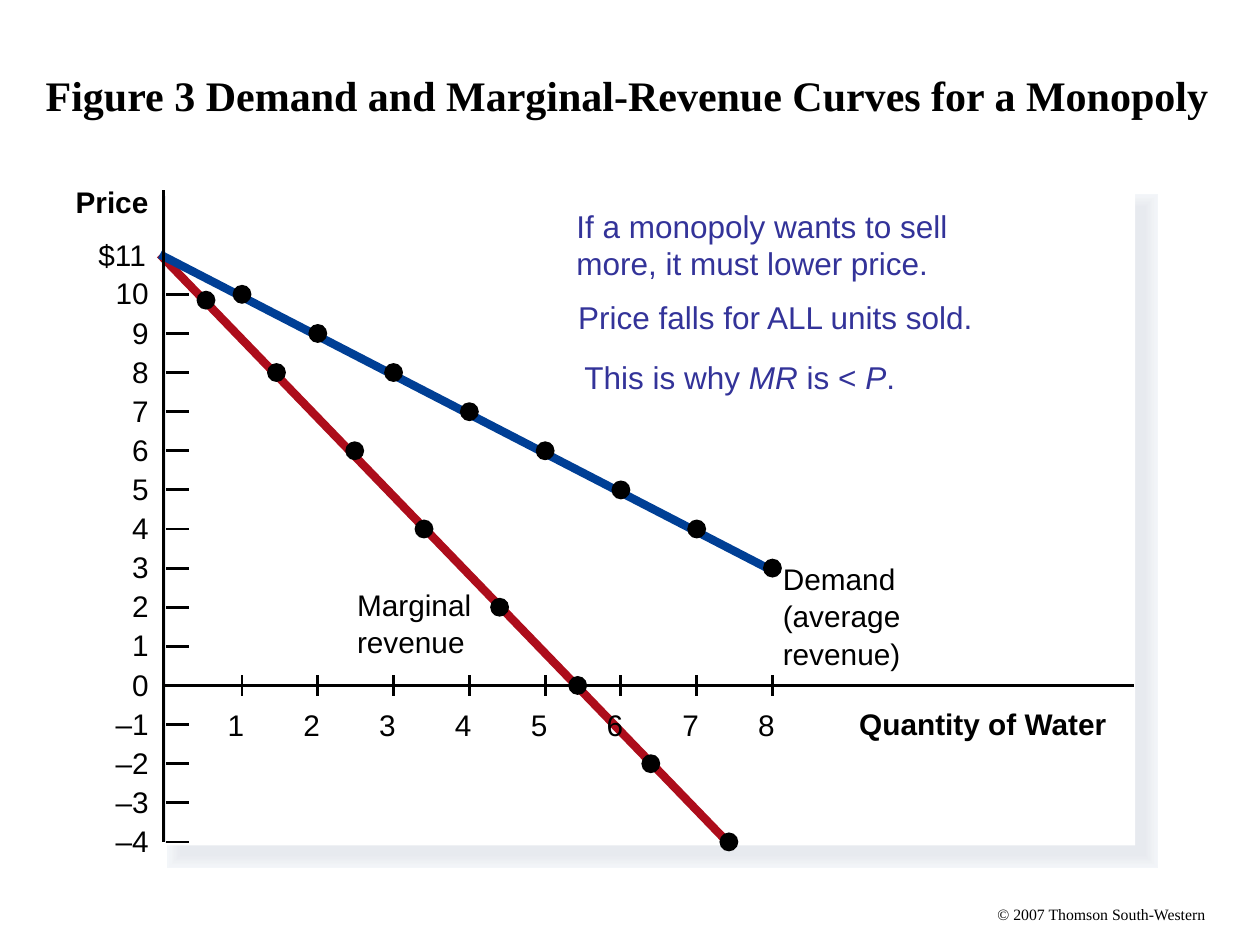
from dataclasses import dataclass

from lxml import etree
from pptx import Presentation
from pptx.dml.color import RGBColor
from pptx.enum import shapes, text
from pptx.oxml import ns
from pptx.util import Pt


@dataclass(frozen=True)
class Theme:
    ink: str = "000000"
    paper: str = "FFFFFF"
    note: str = "333399"
    demand: str = "003F95"
    margin: str = "AD0D1B"
    shade: tuple = ("F3F6F9", "F2F4F8", "F1F4F7", "F0F2F5", "EEF1F4",
                    "EDEFF3", "EBEEF2", "EAECF1", "E9EBF0", "E7EAEF")
    core: str = "E6E9EF"
    sans: str = "Arial"
    serif: str = "Times New Roman"
    head: float = 24
    body: float = 18
    label: float = 17
    small: float = 9
    curve: float = 4.75
    rule: float = 1.62


THEME = Theme()
LEFT = text.PP_ALIGN.LEFT
RIGHT = text.PP_ALIGN.RIGHT
AXIS = 93.6
BASE = 391.7
DOT = 10.8


def get_x(amount):
    return 95 + 43.3 * amount


def get_y(price):
    return BASE - 22.35 * price


def style(font, size, color=THEME.ink, name=THEME.sans, bold=False):
    font.size = Pt(size)
    font.name = name
    font.bold = bold
    font.color.rgb = RGBColor.from_string(color)


def add_line(home, start, end, color=THEME.ink, width=THEME.rule):
    ends = [Pt(v) for v in (*start, *end)]
    line = home.add_connector(shapes.MSO_CONNECTOR.STRAIGHT, *ends)
    line.line.color.rgb = RGBColor.from_string(color)
    line.line.width = Pt(width)
    etree.SubElement(line._element.spPr, ns.qn("a:effectLst"))


def add_form(home, kind, box, fill, width=0):
    """Add a filled shape; a width above zero gives it a square-cornered edge."""
    form = home.add_shape(kind, *[Pt(v) for v in box])
    form.shadow.inherit = False
    form.fill.solid()
    form.fill.fore_color.rgb = RGBColor.from_string(fill)
    if width:
        form.line.color.rgb = RGBColor.from_string(fill)
        form.line.width = Pt(width)
        edge = form._element.spPr.find(ns.qn("a:ln"))
        etree.SubElement(edge, ns.qn("a:miter"), lim="800000")
    else:
        form.line.fill.background()


def add_label(home, words, box, align=LEFT, size=THEME.label,
              name=THEME.sans, bold=False):
    """Add one unwrapped line of text without margins."""
    frame = home.add_textbox(*[Pt(v) for v in box]).text_frame
    frame.margin_left = frame.margin_right = 0
    frame.margin_top = frame.margin_bottom = 0
    frame.word_wrap = False
    frame.auto_size = text.MSO_AUTO_SIZE.SHAPE_TO_FIT_TEXT
    para = frame.paragraphs[0]
    para.text = words
    para.alignment = align
    style(para.runs[0].font, size, name=name, bold=bold)


def add_stack(home, lines, left, top, width):
    group = home.add_group_shape().shapes
    for i, words in enumerate(lines):
        add_label(group, words, (left, top + 21.4 * i, width, 20))


def add_note(home, words, box):
    """Add a wrapped note; parts between bars are set in italics."""
    frame = home.add_textbox(*[Pt(v) for v in box]).text_frame
    frame.word_wrap = True
    frame.auto_size = text.MSO_AUTO_SIZE.SHAPE_TO_FIT_TEXT
    for i, part in enumerate(words.split("|")):
        run = frame.paragraphs[0].add_run()
        run.text = part
        style(run.font, THEME.body, THEME.note)
        run.font.italic = i % 2 == 1


def add_dots(home, points):
    group = home.add_group_shape().shapes
    for x, y in points:
        add_form(group, shapes.MSO_SHAPE.OVAL,
                 (x - DOT / 2, y - DOT / 2, DOT, DOT), THEME.ink)


def add_title(slide, words):
    title = slide.shapes.title
    title.left, title.top, title.width, title.height = (
        Pt(18.9), Pt(9), Pt(688.3), Pt(90))
    frame = title.text_frame
    frame.text = words
    frame.vertical_anchor = text.MSO_ANCHOR.MIDDLE
    frame.paragraphs[0].alignment = LEFT
    style(frame.paragraphs[0].runs[0].font, THEME.head, name=THEME.serif, bold=True)


def add_panel(home):
    """Add the white panel on its soft stepped shadow."""
    rect = shapes.MSO_SHAPE.RECTANGLE
    for i, color in enumerate(THEME.shade):
        add_form(home, rect, (104.4, 119.5, 548.6, 367.9), color, 17.5 - 1.58 * i)
    add_form(home, rect, (95, 113, 552.2, 367.9), THEME.core, THEME.rule)
    add_form(home, rect, (95, 108.7, 553.7, 374.4), THEME.paper)


def add_curves(home):
    start = (91.4, 145.4)
    add_line(home, start, (419, 484.6), THEME.margin, THEME.curve)
    add_line(home, start, (440, 325.4), THEME.demand, THEME.curve)


def add_axes(home):
    add_line(home, (AXIS, 108.7), (AXIS, 481))
    for price in range(-4, 11):
        y = get_y(price)
        if price:
            add_line(home, (95, y), (108, y))
        words = str(price).replace("-", "–")
        width = 9.6 * len(words)
        add_label(home, words, (85 - width, y - 10.9, width, 20), RIGHT)
    for amount in range(1, 9):
        x = get_x(amount)
        add_line(home, (x, 386), (x, 398))
        add_label(home, str(amount), (x - 8.2, 404, 9.6, 20))
    add_line(home, (AXIS, BASE), (648, BASE))
    add_label(home, "$11", (56.2, 135.4, 29, 20))
    add_label(home, "Price", (43.2, 105.1, 41.8, 20), bold=True)
    add_label(home, "Quantity of Water", (491, 403.2, 141.8, 20), bold=True)


def main():
    deck = Presentation()
    deck.slide_width, deck.slide_height = Pt(720), Pt(540)
    slide = deck.slides.add_slide(deck.slide_layouts[5])
    home = slide.shapes
    add_title(slide, "Figure 3 Demand and Marginal-Revenue Curves for a Monopoly")
    add_label(home, "© 2007 Thomson South-Western", (570, 517, 119.5, 10.8),
              size=THEME.small, name=THEME.serif)
    add_panel(home)
    add_curves(home)
    add_axes(home)
    add_dots(home, [(get_x(n), get_y(11 - n)) for n in range(1, 9)])
    spots = (117.7, 158, 202.7, 242.3, 285.5, 330.1, 371.9, 416.5)
    sums = (9.85, 8, 6, 4, 2, 0, -2, -4)
    add_dots(home, [(x, get_y(total)) for x, total in zip(spots, sums)])
    add_stack(home, ("Demand", "(average", "revenue)"), 447.3, 320.4, 67.5)
    add_stack(home, ("Marginal", "revenue"), 204, 335.2, 65.5)
    add_note(home, "If a monopoly wants to sell more, it must lower price.",
             (322.3, 114.5, 258.5, 50.4))
    add_note(home, "Price falls for ALL units sold.", (323.3, 167, 272.9, 28.8))
    add_note(home, "This is why |MR| is < |P|.", (326.9, 200.9, 261.4, 28.8))
    deck.save("out.pptx")


if __name__ == "__main__":
    main()
